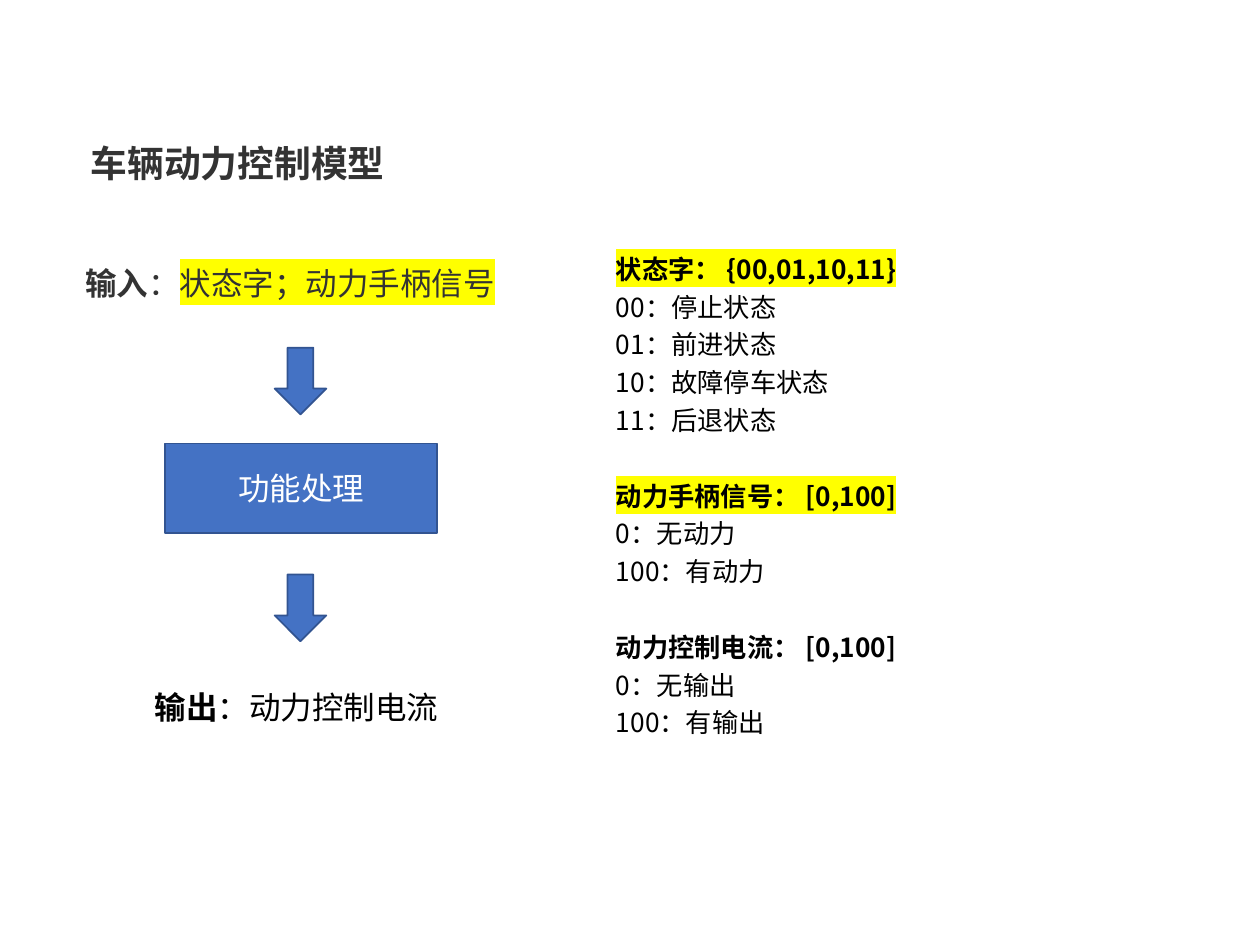
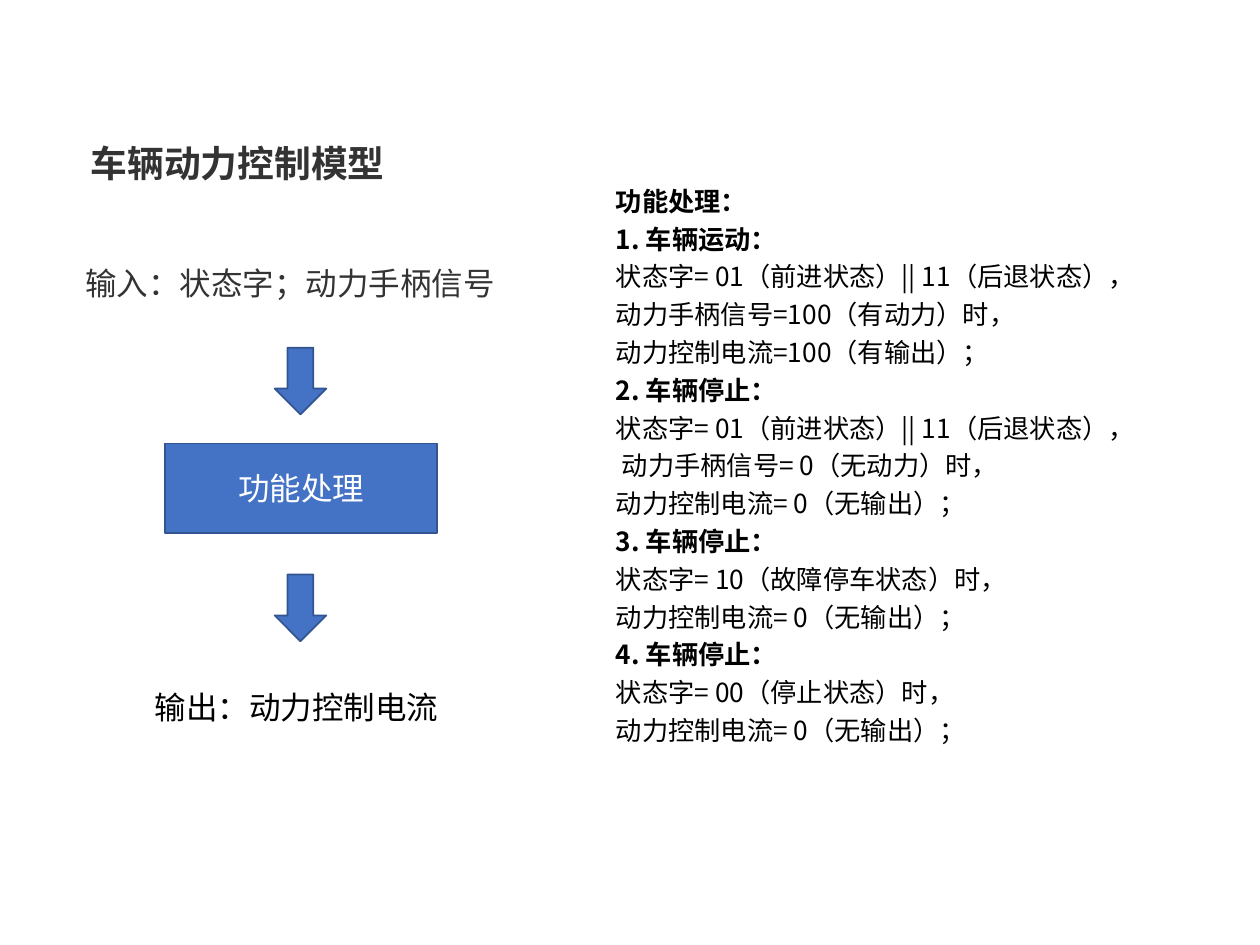
from dataclasses import dataclass

from lxml.etree import SubElement
from pptx import Presentation
from pptx.dml.color import RGBColor
from pptx.enum.shapes import MSO_SHAPE as Shape
from pptx.enum.text import MSO_ANCHOR as Anchor, MSO_AUTO_SIZE as AutoSize, PP_ALIGN as Align
from pptx.oxml.ns import qn
from pptx.util import Inches, Pt

FONT = "Noto Sans CJK SC"
DARK, BLACK, WHITE = "333333", "000000", "FFFFFF"
BLUE, BLUE_EDGE, YELLOW = "4472C4", "325491", "FFFF00"
TITLE = "车辆动力控制模型"
LINE_PITCH = Pt(21.6)


@dataclass(frozen=True)
class Run:
    text: str
    bold: bool = False
    marked: bool = False


@dataclass(frozen=True)
class Line:
    runs: tuple[Run, ...]
    gap_before: bool = False


@dataclass(frozen=True)
class Box:
    left: float
    top: float
    width: float
    height: float

    def place(self) -> tuple:
        return tuple(Inches(v) for v in (self.left, self.top, self.width, self.height))


TITLE_BOX = Box(0.62, 1.11, 3.62, 0.79)
INPUT_BOX = Box(0.58, 2.05, 3.62, 0.4)
PROCESS_BOX = Box(1.31, 3.52, 2.16, 0.71)
OUTPUT_BOX = Box(1.13, 5.41, 2.52, 0.4)
ARROW_BOXES = [Box(2.18, top, 0.41, 0.53) for top in (2.76, 4.56)]


def rgb(color: str) -> RGBColor:
    return RGBColor.from_string(color)


def plain(text: str) -> Line:
    return Line((Run(text),))


def heading(text: str, marked: bool = False, gap: bool = False) -> Line:
    return Line((Run(text, True, marked),), gap)


def style(p, size: float, color: str, bold: bool = False) -> None:
    """Set the paragraph font, for Latin and East Asian text alike."""
    font = p.font
    font.size, font.bold, font.name = Pt(size), bold, FONT
    font.color.rgb = rgb(color)
    SubElement(p._p.pPr.find(qn("a:defRPr")), qn("a:ea"), typeface=FONT)


def add_runs(p, line: Line) -> None:
    for run in line.runs:
        r = p.add_run()
        r.text = run.text
        r.font.bold = run.bold
        if run.marked:
            mark = SubElement(r._r.get_or_add_rPr(), qn("a:highlight"))
            SubElement(mark, qn("a:srgbClr"), val=YELLOW)


def add_text(s, box: Box, lines: list[Line], size: float, color: str, pitch=None) -> None:
    tf = s.shapes.add_textbox(*box.place()).text_frame
    tf.word_wrap = True
    tf.auto_size = AutoSize.SHAPE_TO_FIT_TEXT
    for i, line in enumerate(lines):
        p = tf.add_paragraph() if i else tf.paragraphs[0]
        if pitch:
            p.line_spacing = pitch
        if line.gap_before:
            p.space_before = LINE_PITCH
        style(p, size, color)
        add_runs(p, line)


def add_block(s, kind: Shape, box: Box):
    sp = s.shapes.add_shape(kind, *box.place())
    sp.shadow.inherit = False
    sp.fill.solid()
    sp.fill.fore_color.rgb = rgb(BLUE)
    sp.line.color.rgb = rgb(BLUE_EDGE)
    sp.line.width = Pt(1)
    return sp


def add_title(s) -> None:
    sp = s.shapes.title
    sp.left, sp.top, sp.width, sp.height = TITLE_BOX.place()
    tf = sp.text_frame
    tf.text = TITLE
    tf.word_wrap, tf.auto_size, tf.vertical_anchor = True, AutoSize.NONE, Anchor.TOP
    p = tf.paragraphs[0]
    p.alignment, p.line_spacing = Align.LEFT, 0.9
    style(p, 21, DARK, bold=True)


def add_model_slide(prs, input_line: Line, output_line: Line,
                    notes_box: Box, notes: list[Line]) -> None:
    s = prs.slides.add_slide(prs.slide_layouts[5])
    add_title(s)

    # Flow: input, processing, output
    process = add_block(s, Shape.RECTANGLE, PROCESS_BOX)
    tf = process.text_frame
    tf.text = "功能处理"
    tf.vertical_anchor = Anchor.MIDDLE
    p = tf.paragraphs[0]
    p.alignment = Align.CENTER
    style(p, 18, WHITE)
    for box in ARROW_BOXES:
        add_block(s, Shape.DOWN_ARROW, box)
    add_text(s, INPUT_BOX, [input_line], 18, DARK)
    add_text(s, OUTPUT_BOX, [output_line], 18, BLACK)

    # Explanation on the right
    add_text(s, notes_box, notes, 15, BLACK, LINE_PITCH)


SIGNALS = [
    heading("状态字： {00,01,10,11}", marked=True),
    plain("00：停止状态"),
    plain("01：前进状态"),
    plain("10：故障停车状态"),
    plain("11：后退状态"),
    heading("动力手柄信号： [0,100]", marked=True, gap=True),
    plain("0：无动力"),
    plain("100：有动力"),
    heading("动力控制电流： [0,100]", gap=True),
    plain("0：无输出"),
    plain("100：有输出"),
]

MOVING = plain("状态字= 01（前进状态）|| 11（后退状态），")
NO_OUTPUT = plain("动力控制电流= 0（无输出）；")
RULES = [
    heading("功能处理："),
    heading("1. 车辆运动："),
    MOVING,
    plain("动力手柄信号=100（有动力）时，"),
    plain("动力控制电流=100（有输出）；"),
    heading("2. 车辆停止："),
    MOVING,
    plain(" 动力手柄信号= 0（无动力）时，"),
    NO_OUTPUT,
    heading("3. 车辆停止："),
    plain("状态字= 10（故障停车状态）时，"),
    NO_OUTPUT,
    heading("4. 车辆停止："),
    plain("状态字= 00（停止状态）时，"),
    NO_OUTPUT,
]


def main() -> None:
    prs = Presentation()
    prs.slide_width, prs.slide_height = Inches(10), Inches(7.5)

    # Slide 1: signals and their values
    add_model_slide(
        prs,
        Line((Run("输入", bold=True), Run("："), Run("状态字；动力手柄信号", marked=True))),
        Line((Run("输出", bold=True), Run("：动力控制电流"))),
        Box(4.79, 1.91, 4.59, 4.27), SIGNALS)

    # Slide 2: processing rules
    add_model_slide(
        prs, plain("输入：状态字；动力手柄信号"), plain("输出：动力控制电流"),
        Box(4.79, 1.37, 4.59, 4.62), RULES)

    prs.save("out.pptx")


if __name__ == "__main__":
    main()
